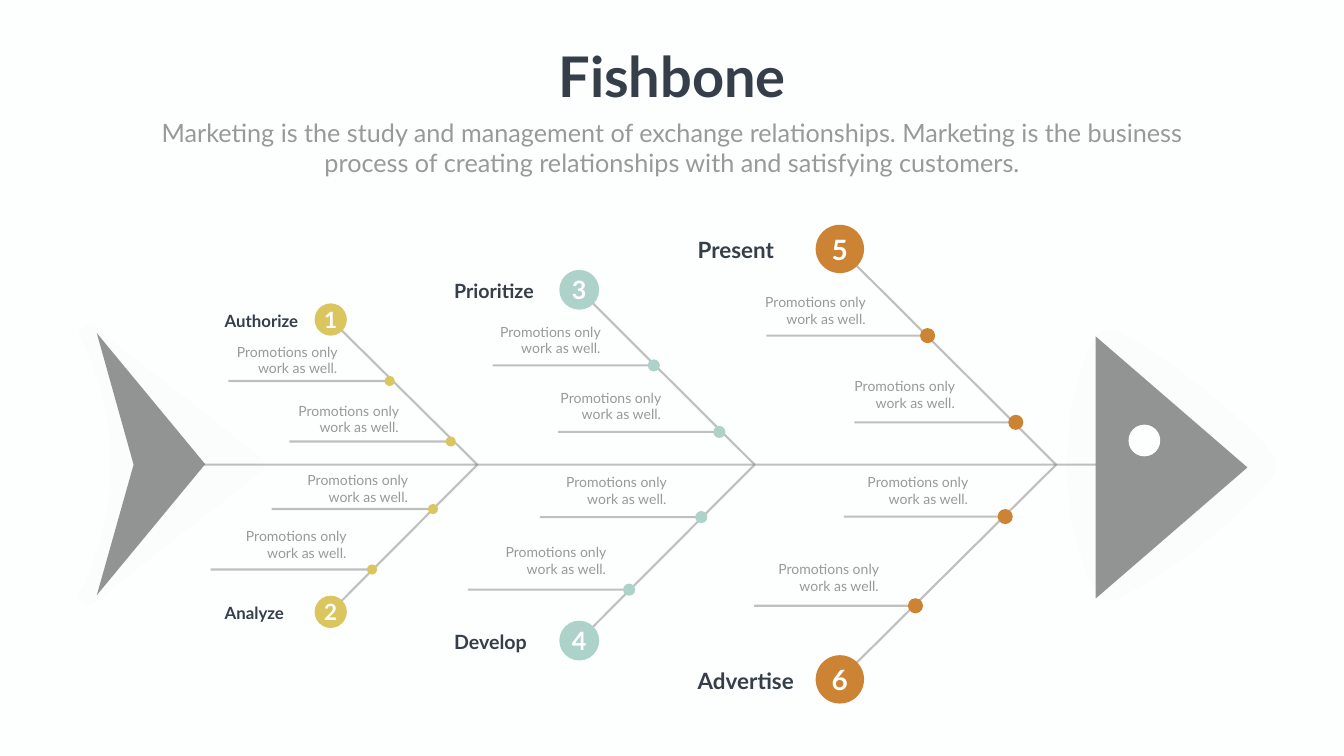
from lxml import etree
from pptx import Presentation
from pptx.dml.color import RGBColor
from pptx.enum.shapes import MSO_CONNECTOR, MSO_SHAPE
from pptx.enum.text import MSO_ANCHOR, PP_ALIGN
from pptx.oxml.ns import qn
from pptx.util import Inches, Pt

STRAIGHT = MSO_CONNECTOR.STRAIGHT
OVAL, TRIANGLE = MSO_SHAPE.OVAL, MSO_SHAPE.ISOSCELES_TRIANGLE
LEFT, CENTER, RIGHT = PP_ALIGN.LEFT, PP_ALIGN.CENTER, PP_ALIGN.RIGHT
MIDDLE = MSO_ANCHOR.MIDDLE

PAPER = RGBColor(0xFD, 0xFF, 0xFE)
WHITE = RGBColor(0xFF, 0xFF, 0xFF)
INK = RGBColor(0x36, 0x3E, 0x49)
MUTED = RGBColor(0x98, 0x99, 0x98)
BONE = RGBColor(0x80, 0x80, 0x80)
FISH = RGBColor(0x72, 0x73, 0x72)
HALO = RGBColor(0xE8, 0xE8, 0xE8)
YELLOW = RGBColor(0xDB, 0xC5, 0x5E)
TEAL = RGBColor(0xAC, 0xD2, 0xCA)
ORANGE = RGBColor(0xCC, 0x83, 0x33)

FONT = "Lato"
SPINE_Y = 9.22
RIB_LENGTH = 3.2
NOTE = "Promotions only work as well."
SUBTITLE = ("Marketing is the study and management of exchange relationships. "
            "Marketing is the business process of creating relationships with "
            "and satisfying customers.")

# Each bone: its joint on the spine, and two badges (number, label, y).
# Each rib: dot x, dot y, note left, note top.
BONES = [
    dict(color=YELLOW, x=6.56, joint=9.47, badge=0.64, dot=0.2,
         label_left=4.36, label_width=2.03, label_size=24, number_size=32,
         badges=[("1", "Authorize", 6.34), ("2", "Analyze", 12.14)],
         ribs=[(7.73, 7.56, 4.02, 6.76), (8.94, 8.76, 5.24, 7.93),
               (8.59, 10.1, 5.42, 9.31), (7.38, 11.3, 4.2, 10.42)]),
    dict(color=TEAL, x=11.49, joint=14.97, badge=0.79, dot=0.24,
         label_left=8.91, label_width=2.03, label_size=28, number_size=36,
         badges=[("3", "Prioritize", 5.75), ("4", "Develop", 12.71)],
         ribs=[(12.97, 7.25, 9.24, 6.36), (14.27, 8.57, 10.44, 7.67),
               (13.91, 10.26, 10.55, 9.34), (12.48, 11.7, 9.35, 10.74)]),
    dict(color=ORANGE, x=16.66, joint=20.95, badge=0.96, dot=0.3,
         label_left=13.74, label_width=2.19, label_size=32, number_size=40,
         badges=[("5", "Present", 4.94), ("6", "Advertise", 13.48)],
         ribs=[(18.4, 6.66, 14.5, 5.77), (20.15, 8.38, 16.27, 7.45),
               (19.94, 10.25, 16.53, 9.35), (18.16, 12.02, 14.76, 11.08)]),
]


def set_opacity(shape, percent):
    for color in shape._element.spPr.iter(qn("a:srgbClr")):
        etree.SubElement(color, qn("a:alpha"), val=str(percent * 1000))


def paint(shape, color, opacity=100):
    shape.shadow.inherit = False
    shape.fill.solid()
    shape.fill.fore_color.rgb = color
    shape.line.fill.background()
    if opacity < 100:
        set_opacity(shape, opacity)


def draw_as_bone(shape):
    shape.line.color.rgb = BONE
    shape.line.width = Pt(3)
    set_opacity(shape, 50)


def write(frame, text, size, color=INK, bold=False, align=LEFT):
    paragraph = frame.paragraphs[0]
    paragraph.alignment = align
    run = paragraph.add_run()
    run.text = text
    run.font.name, run.font.size = FONT, Pt(size)
    run.font.bold, run.font.color.rgb = bold, color


def add_text(slide, text, left, top, width, size, lines=1, **style):
    height = lines * size * 1.2 / 72 + 0.1
    box = slide.shapes.add_textbox(Inches(left), Inches(top), Inches(width), Inches(height))
    box.text_frame.word_wrap = True
    write(box.text_frame, text, size, **style)


def add_disc(slide, x, y, diameter, color):
    disc = slide.shapes.add_shape(OVAL, Inches(x - diameter / 2), Inches(y - diameter / 2),
                                  Inches(diameter), Inches(diameter))
    paint(disc, color)
    return disc


def add_bone_line(slide, x1, x2, y):
    line = slide.shapes.add_connector(STRAIGHT, Inches(x1), Inches(y), Inches(x2), Inches(y))
    draw_as_bone(line)
    etree.SubElement(line._element.spPr, qn("a:effectLst"))


def add_outline(slide, points, close=True):
    corners = [(Inches(x), Inches(y)) for x, y in points]
    builder = slide.shapes.build_freeform(*corners[0])
    builder.add_line_segments(corners[1:], close=close)
    return builder.convert_to_shape()


def curve(start, bend_1, bend_2, end, steps=10):
    """Points along a cubic curve, without its start."""
    points = []
    for step in range(1, steps + 1):
        t = step / steps
        weights = ((1 - t) ** 3, 3 * t * (1 - t) ** 2, 3 * t * t * (1 - t), t ** 3)
        points.append(tuple(sum(w * p[axis] for w, p in zip(weights, (start, bend_1, bend_2, end)))
                            for axis in (0, 1)))
    return points


def add_halo(slide, start, *curves):
    """Faint outline behind the head or the tail."""
    points = [start]
    for bend_1, bend_2, end in curves:
        points += curve(points[-1], bend_1, bend_2, end)
    paint(add_outline(slide, points), HALO, opacity=5)


def add_halos(slide):
    add_halo(slide, (5.18, 9.08),
             ((1.87, 6.47), (1.87, 6.47), (1.87, 6.47)),
             ((1.72, 6.35), (1.5, 6.52), (1.59, 6.69)),
             ((1.89, 7.31), (2.2, 8.15), (2.2, 9.21)),
             ((2.2, 10.27), (1.89, 11.13), (1.59, 11.74)),
             ((1.5, 11.91), (1.72, 12.08), (1.87, 11.97)),
             ((2.97, 11.1), (4.07, 10.23), (5.18, 9.37)),
             ((5.27, 9.28), (5.27, 9.15), (5.18, 9.08)))
    add_halo(slide, (25.22, 9.49),
             ((25.36, 9.33), (25.34, 9.1), (25.21, 8.95)),
             ((24.79, 8.49), (24.25, 7.99), (23.59, 7.49)),
             ((23.12, 7.13), (22.65, 6.83), (22.23, 6.59)),
             ((22.02, 6.47), (21.75, 6.56), (21.66, 6.77)),
             ((21.42, 7.32), (21.16, 8.17), (21.16, 9.22)),
             ((21.16, 10.28), (21.43, 11.11), (21.67, 11.66)),
             ((21.76, 11.88), (22.01, 11.97), (22.22, 11.86)),
             ((22.71, 11.61), (23.28, 11.26), (23.87, 10.79)),
             ((24.43, 10.35), (24.88, 9.89), (25.22, 9.49)))


def add_bone(slide, bone):
    # Ribs lie under the bone, dots and badges on top
    for x, y, _, _ in bone["ribs"]:
        add_bone_line(slide, x, x - RIB_LENGTH, y)
    top, bottom = (y for _, _, y in bone["badges"])
    angle = add_outline(slide, [(bone["x"], top), (bone["joint"], SPINE_Y),
                                (bone["x"], bottom)], close=False)
    angle.shadow.inherit = False
    angle.fill.background()
    draw_as_bone(angle)

    for x, y, note_left, note_top in bone["ribs"]:
        add_disc(slide, x, y, bone["dot"], bone["color"])
        add_text(slide, NOTE, note_left, note_top, 2.77, 20, lines=2, color=MUTED, align=RIGHT)

    for number, label, y in bone["badges"]:
        frame = add_disc(slide, bone["x"], y, bone["badge"], bone["color"]).text_frame
        frame.margin_left = frame.margin_right = frame.margin_top = frame.margin_bottom = 0
        frame.vertical_anchor = MIDDLE
        frame.word_wrap = False
        write(frame, number, bone["number_size"], color=WHITE, bold=True, align=CENTER)
        size = bone["label_size"]
        add_text(slide, label, bone["label_left"], y - size / 120 - 0.03,
                 bone["label_width"], size, bold=True)


def add_fish_ends(slide):
    head = slide.shapes.add_shape(TRIANGLE, Inches(20.64), Inches(7.77), Inches(5.2), Inches(3.01))
    head.rotation = 90
    paint(head, FISH, opacity=76)
    tail = add_outline(slide, [(1.92, 6.61), (4.07, 9.21), (1.92, 11.81), (2.65, 9.22)])
    paint(tail, FISH, opacity=76)
    add_disc(slide, 22.7, 8.74, 0.63, PAPER)  # eye


def main():
    deck = Presentation()
    deck.slide_width, deck.slide_height = Inches(26.66), Inches(15)
    slide = deck.slides.add_slide(deck.slide_layouts[6])
    slide.background.fill.solid()
    slide.background.fill.fore_color.rgb = PAPER

    # Heading
    add_text(slide, "Fishbone", 10.94, 0.78, 4.79, 80, bold=True, align=CENTER)
    add_text(slide, SUBTITLE, 2.92, 2.27, 20.82, 36, lines=2, color=MUTED, align=CENTER)

    # Fish, from the back to the front
    add_halos(slide)
    add_bone_line(slide, 4.04, 21.74, SPINE_Y)
    for bone in BONES:
        add_bone(slide, bone)
    add_fish_ends(slide)
    deck.save("out.pptx")


if __name__ == "__main__":
    main()
